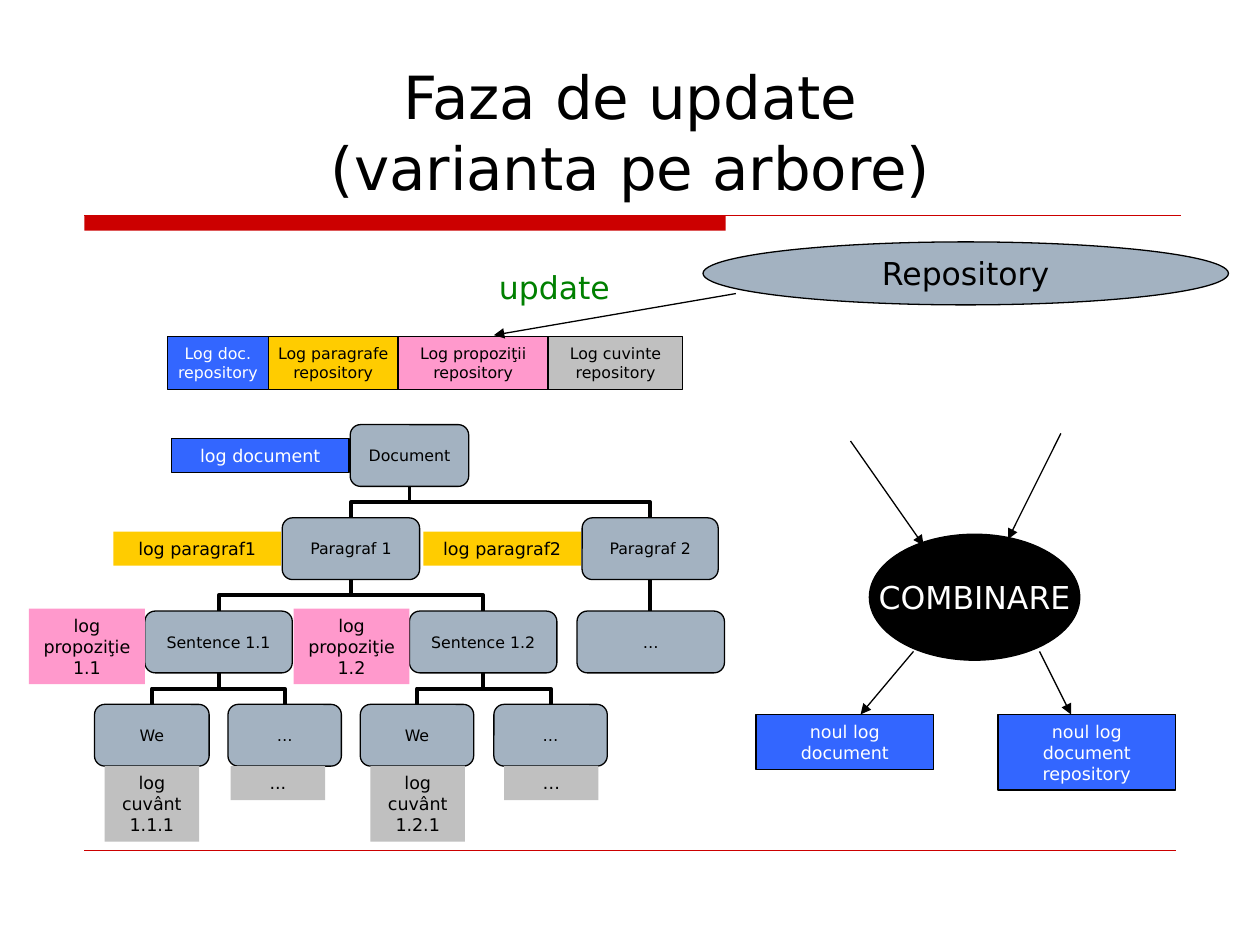
"""Build the slide on the tree variant of the update phase."""
from lxml import etree
from pptx import Presentation
from pptx.dml.color import RGBColor
from pptx.enum.shapes import MSO_CONNECTOR, MSO_SHAPE
from pptx.enum.text import MSO_ANCHOR, MSO_AUTO_SIZE, PP_ALIGN
from pptx.oxml.ns import qn
from pptx.util import Inches, Pt

RECT, ROUNDED, OVAL = MSO_SHAPE.RECTANGLE, MSO_SHAPE.ROUNDED_RECTANGLE, MSO_SHAPE.OVAL
STRAIGHT, ELBOW = MSO_CONNECTOR.STRAIGHT, MSO_CONNECTOR.ELBOW
TOP, MIDDLE, BOTTOM = MSO_ANCHOR.TOP, MSO_ANCHOR.MIDDLE, MSO_ANCHOR.BOTTOM
CENTER, NO_AUTOFIT = PP_ALIGN.CENTER, MSO_AUTO_SIZE.NONE

FONT = "DejaVu Sans"
BLACK = RGBColor(0x00, 0x00, 0x00)
WHITE = RGBColor(0xFF, 0xFF, 0xFF)
RED = RGBColor(0xCC, 0x00, 0x00)
GREEN = RGBColor(0x00, 0x80, 0x00)
STEEL = RGBColor(0xA3, 0xB2, 0xC1)
BLUE = RGBColor(0x33, 0x66, 0xFF)
YELLOW = RGBColor(0xFF, 0xCC, 0x00)
PINK = RGBColor(0xFF, 0x99, 0xCC)
GRAY = RGBColor(0xC0, 0xC0, 0xC0)

TITLE = "Faza de update\v(varianta pe arbore)"

# text, level, left, width, index of parent
TREE = [
    ("Document", 0, 2.78, 0.94, None),
    ("Paragraf 1", 1, 2.24, 1.09, 0),
    ("Paragraf 2", 1, 4.62, 1.08, 0),
    ("Sentence 1.1", 2, 1.15, 1.17, 1),
    ("Sentence 1.2", 2, 3.25, 1.17, 1),
    ("…", 2, 4.58, 1.17, 2),
    ("We", 3, 0.75, 0.91, 3),
    ("…", 3, 1.81, 0.9, 3),
    ("We", 3, 2.86, 0.9, 4),
    ("…", 3, 3.92, 0.9, 4),
]
TREE_TOP, LEVEL_STEP, NODE_HEIGHT = 3.37, 0.74, 0.49

LOGS = [
    ("log document", 1.36, 3.48, 1.41, 0.27, BLUE),
    ("log paragraf1", 0.9, 4.22, 1.33, 0.27, YELLOW),
    ("log paragraf2", 3.36, 4.22, 1.25, 0.27, YELLOW),
    ("log propoziţie1.1", 0.23, 4.83, 0.92, 0.6, PINK),
    ("log propoziţie1.2", 2.33, 4.83, 0.92, 0.6, PINK),
    ("log cuvânt1.1.1", 0.83, 6.08, 0.75, 0.6, GRAY),
    ("...", 1.83, 6.08, 0.75, 0.27, GRAY),
    ("log cuvânt1.2.1", 2.94, 6.08, 0.75, 0.6, GRAY),
    ("…", 4, 6.08, 0.75, 0.27, GRAY),
    ("noul log document", 6, 5.67, 1.41, 0.44, BLUE),
    ("noul log document repository", 7.92, 5.67, 1.41, 0.6, BLUE),
]

REPOSITORY_LOGS = [
    ("Log doc.\nrepository", 0.8, BLUE),
    ("Log paragrafe\nrepository", 1.03, YELLOW),
    ("Log propoziţii\nrepository", 1.19, PINK),
    ("Log cuvinte\nrepository", 1.07, GRAY),
]
REPOSITORY_LOGS_LEFT = 1.33

ARROWS = [
    ((6.75, 3.5), (7.33, 4.33)),
    ((8.42, 3.44), (8, 4.28)),
    ((7.25, 5.17), (6.83, 5.67)),
    ((8.25, 5.17), (8.5, 5.67)),
    ((5.84, 2.33), (3.92, 2.66)),
]


def write(frame, text, size=10, color=BLACK, anchor=MIDDLE, wrap=True, inset=0.1):
    frame.text = text
    frame.auto_size = NO_AUTOFIT
    frame.word_wrap = wrap
    frame.vertical_anchor = anchor
    frame.margin_left = frame.margin_right = Inches(inset)
    frame.margin_top = frame.margin_bottom = Inches(inset / 2)
    for paragraph in frame.paragraphs:
        paragraph.alignment = CENTER
        for run in paragraph.runs:
            run.font.name = FONT
            run.font.size = Pt(size)
            run.font.color.rgb = color


def add_box(slide, kind, place, fill, outline=BLACK):
    box = slide.shapes.add_shape(kind, *map(Inches, place))
    box.shadow.inherit = False
    box.fill.solid()
    box.fill.fore_color.rgb = fill
    if outline is None:
        box.line.fill.background()
    else:
        box.line.color.rgb = outline
        box.line.width = Pt(0.75)
    return box


def add_line(slide, start, end, kind=STRAIGHT, color=BLACK, width=0.75, arrow=False):
    line = slide.shapes.add_connector(kind, *map(Inches, (*start, *end)))
    line.line.color.rgb = color
    line.line.width = Pt(width)
    properties = line.element.spPr
    if arrow:
        etree.SubElement(properties.find(qn("a:ln")), qn("a:tailEnd"), type="triangle")
    etree.SubElement(properties, qn("a:effectLst"))
    return line


def add_branch(slide, parent, child):
    (_, parent_level, parent_left, parent_width, _) = parent
    (_, child_level, child_left, child_width, _) = child
    x1, x2 = parent_left + parent_width / 2, child_left + child_width / 2
    y1 = TREE_TOP + parent_level * LEVEL_STEP + NODE_HEIGHT
    y2 = TREE_TOP + child_level * LEVEL_STEP
    if abs(x2 - x1) < 0.02:
        add_line(slide, (x1, y1), (x1, y2), width=2.25)
        return
    middle_x, middle_y = (x1 + x2) / 2, (y1 + y2) / 2
    half_drop, half_run = (y2 - y1) / 2, (x2 - x1) / 2
    branch = add_line(slide, (middle_x - half_drop, middle_y + half_run),
                      (middle_x + half_drop, middle_y - half_run), kind=ELBOW, width=2.25)
    branch.element.spPr.find(qn("a:xfrm")).set("rot", str(90 * 60000))


def add_tree(slide):
    for node in TREE:
        if node[-1] is not None:
            add_branch(slide, TREE[node[-1]], node)
    for text, level, left, width, _ in TREE:
        place = (left, TREE_TOP + level * LEVEL_STEP, width, NODE_HEIGHT)
        node = add_box(slide, ROUNDED, place, STEEL)
        write(node.text_frame, text, size=9, wrap=False, inset=0.05)


def add_logs(slide):
    for text, *place, fill in LOGS:
        is_document = fill == BLUE
        log = add_box(slide, RECT, place, fill, outline=BLACK if is_document else None)
        write(log.text_frame, text, color=WHITE if is_document else BLACK, anchor=TOP)
    left = REPOSITORY_LOGS_LEFT
    for text, width, fill in REPOSITORY_LOGS:
        log = add_box(slide, RECT, (left, 2.67, width, 0.42), fill)
        write(log.text_frame, text, size=9, color=WHITE if fill == BLUE else BLACK, wrap=False)
        left += width


def main():
    deck = Presentation()
    deck.slide_width, deck.slide_height = Inches(10), Inches(7.5)
    slide = deck.slides.add_slide(deck.slide_layouts[5])

    title = slide.shapes.title
    title.left, title.top, title.width, title.height = map(Inches, (0.63, 0.33, 8.75, 1.33))
    write(title.text_frame, TITLE, size=34, anchor=BOTTOM)
    add_box(slide, RECT, (0.67, 1.71, 5.09, 0.12), RED, outline=None)
    add_line(slide, (0.67, 1.71), (9.37, 1.71), color=RED)
    add_line(slide, (0.67, 6.75), (9.33, 6.75), color=RED, width=0.25)

    repository = add_box(slide, OVAL, (5.58, 1.92, 4.17, 0.5), STEEL)
    write(repository.text_frame, "Repository", size=18, wrap=False)
    add_tree(slide)
    add_logs(slide)
    combine = add_box(slide, OVAL, (6.9, 4.24, 1.67, 1), BLACK)
    write(combine.text_frame, "COMBINARE", size=18, color=WHITE, wrap=False)
    for start, end in ARROWS:
        add_line(slide, start, end, arrow=True)
    update = slide.shapes.add_textbox(*map(Inches, (3.83, 2.08, 1.14, 0.4)))
    write(update.text_frame, "update", size=18, color=GREEN, anchor=TOP)

    deck.save("out.pptx")


if __name__ == "__main__":
    main()
